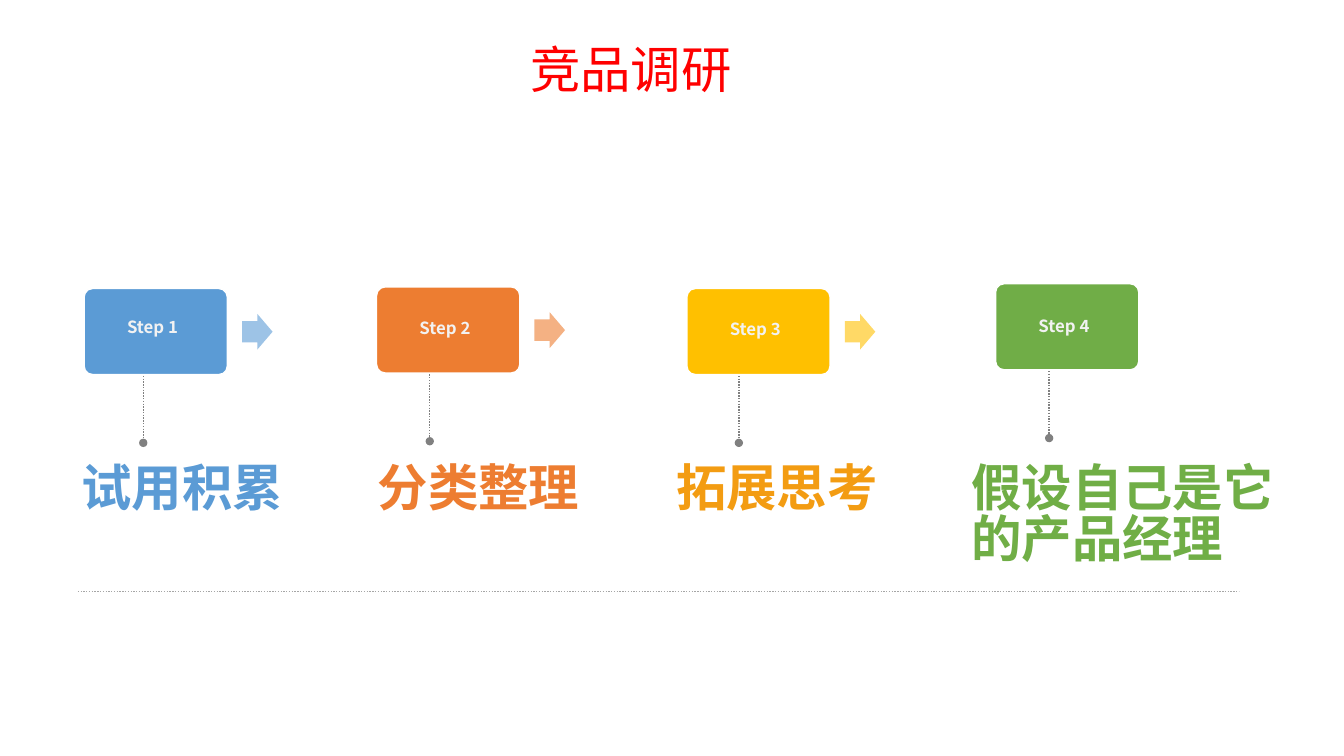
from lxml.etree import SubElement
from pptx import Presentation
from pptx.dml.color import RGBColor
from pptx.enum.dml import MSO_LINE
from pptx.enum.shapes import MSO_CONNECTOR, MSO_SHAPE
from pptx.enum.text import MSO_ANCHOR, MSO_AUTO_SIZE, PP_ALIGN
from pptx.oxml.ns import qn
from pptx.util import Cm, Pt

FONT = "Noto Sans CJK SC"
CARD_WIDTH, CARD_HEIGHT = 3.61, 2.17
CAPTION_TOP = 11.51

STEPS = [
    {"card": (2.12, 7.27), "label_top": 7.9, "stem": 3.61, "caption": (1.8, 5.69),
     "text": "试用积累", "fill": "5B9BD5", "ink": "5B9BD5", "arrow": "9DC3E6"},
    {"card": (9.49, 7.23), "label_top": 7.92, "stem": 10.83, "caption": (9.27, 5.79),
     "text": "分类整理", "fill": "ED7D31", "ink": "ED7D31", "arrow": "F4B183"},
    {"card": (17.31, 7.27), "label_top": 7.95, "stem": 18.62, "caption": (16.79, 5.69),
     "text": "拓展思考", "fill": "FFC000", "ink": "F39C12", "arrow": "FFD966"},
    {"card": (25.09, 7.15), "label_top": 7.87, "stem": 26.44, "caption": (24.23, 8.26),
     "text": "假设自己是它的产品经理", "fill": "70AD47", "ink": "70AE46", "arrow": None},
]


def color(value):
    """Turn a hex string into a colour."""
    return RGBColor.from_string(value)


def write(box, text, size, ink, bold=False, align=PP_ALIGN.LEFT):
    """Fill a text box or placeholder with one styled paragraph."""
    frame = box.text_frame
    frame.word_wrap = True
    frame.auto_size = MSO_AUTO_SIZE.NONE
    frame.vertical_anchor = MSO_ANCHOR.TOP
    frame.margin_top = Cm(0.13 + size / 360)
    frame.margin_bottom = Cm(0.13)
    frame.margin_left = frame.margin_right = Cm(0.25)
    para = frame.paragraphs[0]
    span = para.add_run()
    span.text = text
    para.alignment = align
    para.line_spacing = 0.84
    para.space_before = Pt(0)
    para.font.size = Pt(size)
    para.font.bold = bold
    para.font.name = FONT
    para.font.color.rgb = color(ink)
    SubElement(span.font._element, qn("a:ea")).set("typeface", FONT)


def add_block(shapes, kind, left, top, width, height, fill, adjustments):
    """Draw one filled preset shape without outline or shadow."""
    block = shapes.add_shape(kind, Cm(left), Cm(top), Cm(width), Cm(height))
    block.shadow.inherit = False
    block.fill.solid()
    block.fill.fore_color.rgb = color(fill)
    block.line.fill.background()
    for index, value in enumerate(adjustments):
        block.adjustments[index] = value
    return block


def add_dotted_line(shapes, start, end, ink, dot_end=False):
    """Draw a dotted line, with a round end if asked."""
    line = shapes.add_connector(
        MSO_CONNECTOR.STRAIGHT, *(Cm(value) for value in start + end))
    line.line.color.rgb = color(ink)
    line.line.width = Pt(1)
    line.line.dash_style = MSO_LINE.ROUND_DOT
    if dot_end:
        SubElement(line.line._get_or_add_ln(), qn("a:tailEnd")).set("type", "oval")
    SubElement(line._element.spPr, qn("a:effectLst"))


def add_title(page, left, top, width, height):
    """Place the page title in its placeholder."""
    title = page.shapes.title
    title.left, title.top = Cm(left), Cm(top)
    title.width, title.height = Cm(width), Cm(height)
    write(title, "竞品调研", 36, "FF0000", align=PP_ALIGN.JUSTIFY)


def add_step(page, number, step):
    """Draw one step as a group: card, label, arrow, stem and caption."""
    shapes = page.shapes.add_group_shape().shapes
    left, top = step["card"]
    card = add_block(shapes, MSO_SHAPE.ROUNDED_RECTANGLE, left, top,
                     CARD_WIDTH, CARD_HEIGHT, step["fill"], [0.1])
    card.line.color.rgb = color("FFFFFF")
    card.line.width = Pt(1)
    if step["arrow"]:
        add_block(shapes, MSO_SHAPE.RIGHT_ARROW, left + 3.98, top + 0.64,
                  0.77, 0.9, step["arrow"], [0.6, 0.5])
    label = shapes.add_textbox(
        Cm(left + 0.33), Cm(step["label_top"]), Cm(2.79), Cm(0.77))
    write(label, f"Step {number}", 12, "F2F2F2", True, PP_ALIGN.CENTER)
    stem_top = top + CARD_HEIGHT + 0.03
    add_dotted_line(shapes, (step["stem"], stem_top),
                    (step["stem"], stem_top + 1.69), "808080", True)
    caption_left, caption_width = step["caption"]
    caption = shapes.add_textbox(
        Cm(caption_left), Cm(CAPTION_TOP), Cm(caption_width), Cm(2.95))
    write(caption, step["text"], 36, step["ink"], True)


def main():
    """Build and save the deck."""
    deck = Presentation()
    deck.slide_width, deck.slide_height = Cm(33.87), Cm(19.05)
    page = deck.slides.add_slide(deck.slide_layouts[5])
    add_title(page, 13.11, 0.97, 6.07, 1.8)
    for number, step in enumerate(STEPS, 1):
        add_step(page, number, step)
    add_dotted_line(page.shapes, (1.96, 14.91), (31.22, 14.91), "A6A6A6")
    deck.save("out.pptx")


if __name__ == "__main__":
    main()
